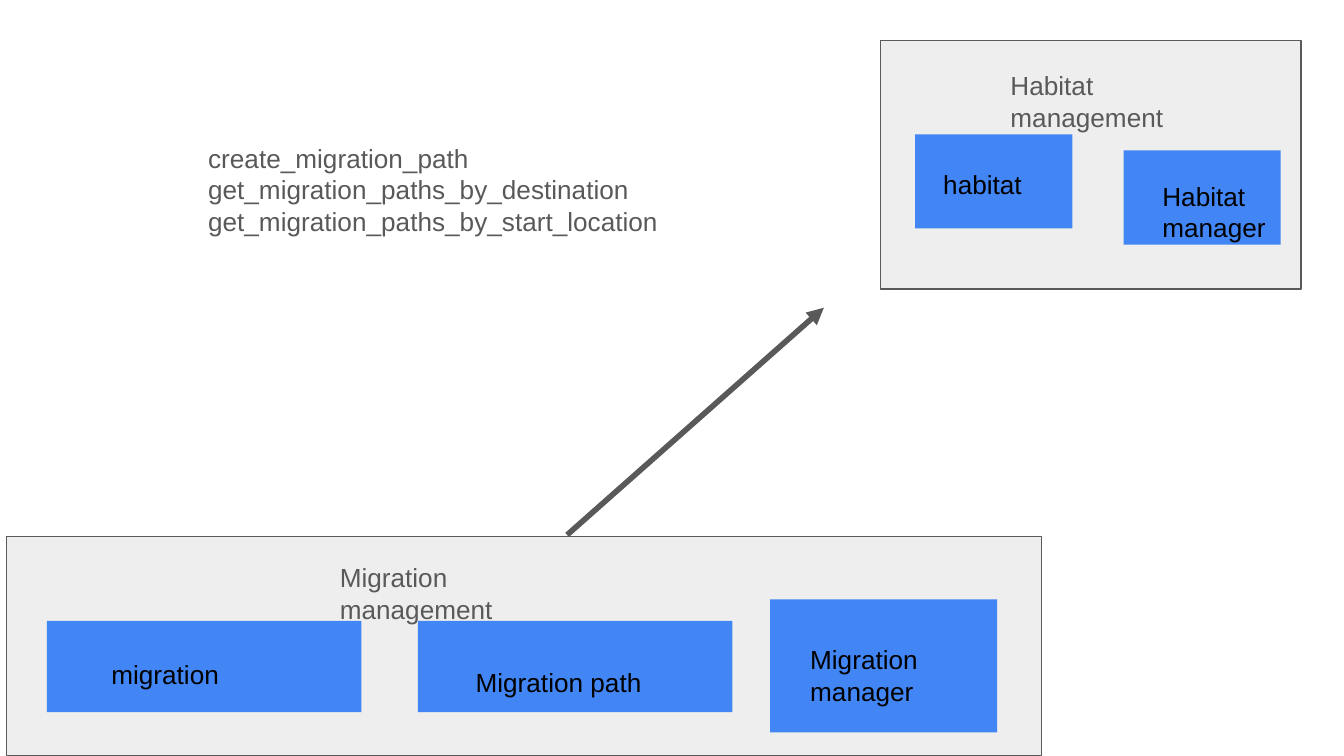
import pptx
import pptx.dml.color
import pptx.enum.shapes
import pptx.enum.text
import pptx.oxml.ns
import pptx.util
from lxml import etree
from pptx.util import Inches

GRAY = "595959"
PANEL = "EEEEEE"
BLUE = "4285F4"
BLACK = "000000"


def rgb(value):
    return pptx.dml.color.RGBColor.from_string(value)


def add_box(slide, left, top, width, height, fill, outline=None):
    box = slide.shapes.add_shape(
        pptx.enum.shapes.MSO_SHAPE.RECTANGLE,
        Inches(left), Inches(top), Inches(width), Inches(height),
    )
    box.shadow.inherit = False
    box.fill.solid()
    box.fill.fore_color.rgb = rgb(fill)
    if outline:
        box.line.color.rgb = rgb(outline)
        box.line.width = pptx.util.Pt(0.75)
    else:
        box.line.fill.background()


def add_text(slide, text, left, top, width, height, color=BLACK, size=14, font="Arial"):
    label = slide.shapes.add_textbox(
        Inches(left), Inches(top), Inches(width), Inches(height)
    )
    frame = label.text_frame
    frame.word_wrap = True
    frame.vertical_anchor = pptx.enum.text.MSO_ANCHOR.TOP
    frame.margin_left = frame.margin_right = Inches(0.1)
    frame.margin_top = frame.margin_bottom = Inches(0.1)
    frame.text = text
    for paragraph in frame.paragraphs:
        for run in paragraph.runs:
            run.font.size = pptx.util.Pt(size)
            run.font.name = font
            run.font.color.rgb = rgb(color)


def add_arrow(slide, start, end, color, width):
    arrow = slide.shapes.add_connector(
        pptx.enum.shapes.MSO_CONNECTOR.STRAIGHT,
        *(Inches(value) for value in start + end),
    )
    arrow.line.color.rgb = rgb(color)
    arrow.line.width = pptx.util.Pt(width)
    qn = pptx.oxml.ns.qn
    properties = arrow.element.spPr
    etree.SubElement(properties.find(qn("a:ln")), qn("a:tailEnd"), type="triangle")
    etree.SubElement(properties, qn("a:effectLst"))


def main():
    deck = pptx.Presentation()
    deck.slide_width = Inches(10)
    deck.slide_height = deck.slide_width * 9 // 16
    slide = deck.slides.add_slide(deck.slide_layouts[6])

    add_box(slide, 0.05, 3.99, 7.7, 1.63, PANEL, GRAY)
    add_box(slide, 6.55, 0.3, 3.13, 1.85, PANEL, GRAY)
    add_text(slide, "Habitat management", 7.42, 0.42, 1.4, 0.7, color=GRAY)
    add_text(slide, "Migration management", 2.43, 4.08, 1.57, 0.44, color=GRAY)

    modules = [
        ("migration", (0.35, 4.62, 2.34, 0.68), (0.73, 4.8, 1.31, 0.31)),
        ("Migration path", (3.11, 4.62, 2.34, 0.68), (3.44, 4.86, 1.89, 0.31)),
        ("Migration manager", (5.73, 4.46, 1.69, 0.99), (5.93, 4.69, 1.34, 0.64)),
        ("habitat", (6.81, 1, 1.17, 0.7), (6.92, 1.15, 0.83, 0.41)),
        ("Habitat manager", (8.36, 1.12, 1.17, 0.7), (8.55, 1.24, 1.09, 0.41)),
    ]
    for name, box_area, label_area in modules:
        add_box(slide, *box_area, BLUE)
        add_text(slide, name, *label_area)

    add_arrow(slide, (4.22, 3.98), (6.13, 2.29), GRAY, 3)

    functions = [
        "create_migration_path",
        "get_migration_paths_by_destination",
        "get_migration_paths_by_start_location",
    ]
    add_text(slide, "\n".join(functions), 1.45, 0.96, 3.81, 1.95, color=GRAY)

    deck.save("out.pptx")


if __name__ == "__main__":
    main()
